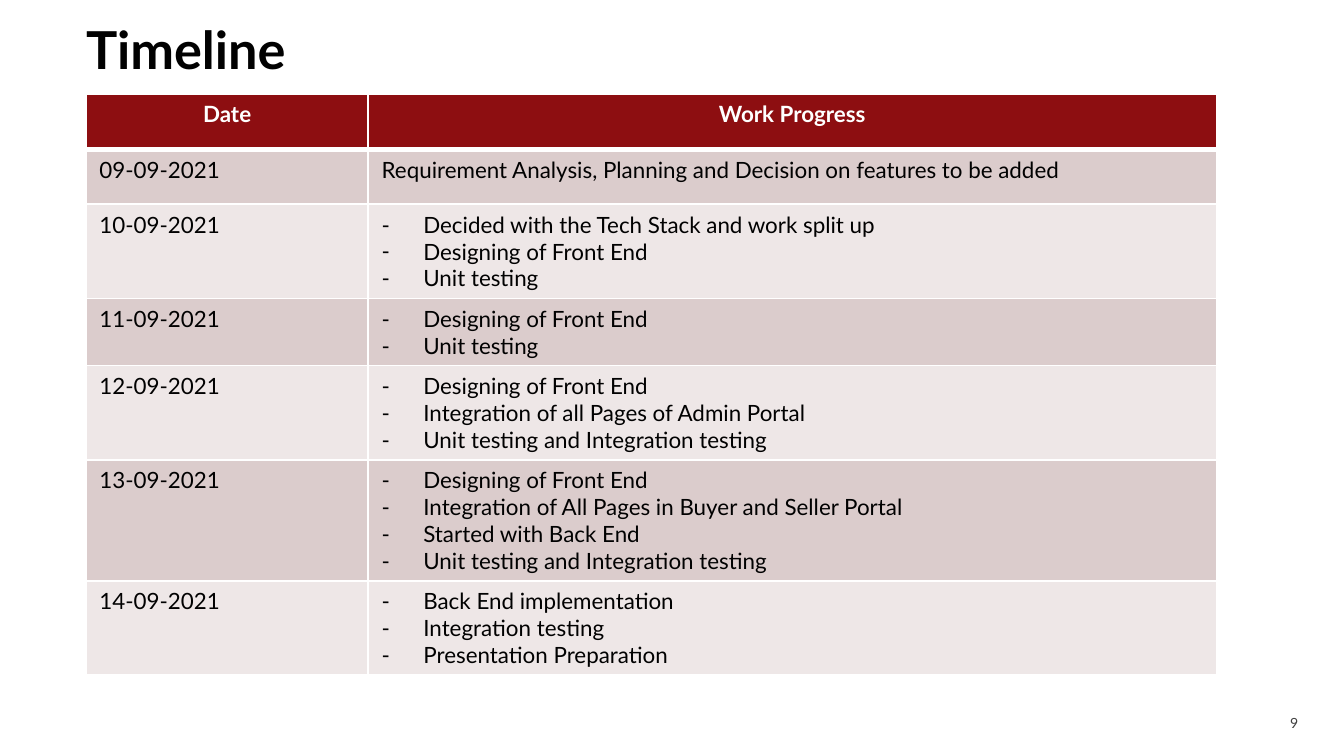
from dataclasses import dataclass

from lxml import etree
from pptx import Presentation
from pptx.dml.color import RGBColor
from pptx.enum import text
from pptx.oxml import ns
from pptx.util import Inches, Pt


@dataclass(frozen=True)
class Theme:
    font: str = "Lato"
    ink: str = "010101"
    header: str = "8D0E11"
    bands: tuple[str, str] = ("DBCCCC", "EEE7E7")
    white: str = "FFFFFF"
    number: str = "404040"
    title_size: float = 28
    table_size: float = 12
    number_size: float = 7.5


@dataclass(frozen=True)
class Day:
    date: str
    tasks: tuple[str, ...]
    bulleted: bool = True

    @property
    def height(self) -> float:
        return max(MIN_ROW, 0.1 + 0.2 * len(self.tasks))


THEME = Theme()
MIN_ROW = 0.41
COLUMN_WIDTHS = (2.1, 6.31)
HEADINGS = ("Date", "Work Progress")
FRONT_END = "Designing of Front End"
UNIT = "Unit testing"
BOTH_TESTS = "Unit testing and Integration testing"
DAYS = (
    Day("09-09-2021",
        ("Requirement Analysis, Planning and Decision on features to be added",), False),
    Day("10-09-2021", ("Decided with the Tech Stack and work split up", FRONT_END, UNIT)),
    Day("11-09-2021", (FRONT_END, UNIT)),
    Day("12-09-2021", (FRONT_END, "Integration of all Pages of Admin Portal", BOTH_TESTS)),
    Day("13-09-2021", (FRONT_END, "Integration of All Pages in Buyer and Seller Portal",
                       "Started with Back End", BOTH_TESTS)),
    Day("14-09-2021", ("Back End implementation", "Integration testing",
                       "Presentation Preparation")),
)


def style_paragraph(paragraph, size: float, color: str, bold: bool = False) -> None:
    for run in paragraph.runs:
        run.font.name = THEME.font
        run.font.size = Pt(size)
        run.font.bold = bold
        run.font.color.rgb = RGBColor.from_string(color)


def add_label(slide, box: tuple[float, ...], content: str, size: float, color: str,
              spacing: float, left_margin: float = 0, bold: bool = False) -> None:
    shape = slide.shapes.add_textbox(*map(Inches, box))
    frame = shape.text_frame
    frame.word_wrap = True
    frame.margin_left = Inches(left_margin)
    frame.margin_top = frame.margin_right = frame.margin_bottom = 0
    frame.text = content
    frame.paragraphs[0].line_spacing = spacing
    style_paragraph(frame.paragraphs[0], size, color, bold)


def add_dash(paragraph) -> None:
    """Give the paragraph a hanging dash bullet."""
    properties = paragraph._p.get_or_add_pPr()
    indent = Inches(0.31)
    properties.set("marL", str(indent))
    properties.set("indent", str(-indent))
    etree.SubElement(properties, ns.qn("a:buFont"), typeface=THEME.font)
    etree.SubElement(properties, ns.qn("a:buChar"), char="-")


def set_borders(cell, top: float, bottom: float) -> None:
    properties = cell._tc.get_or_add_tcPr()
    for side, width in (("L", 1), ("R", 1), ("T", top), ("B", bottom)):
        line = etree.SubElement(properties, ns.qn(f"a:ln{side}"), w=str(Pt(width)))
        fill = etree.SubElement(line, ns.qn("a:solidFill"))
        etree.SubElement(fill, ns.qn("a:srgbClr"), val=THEME.white)


def fill_cell(cell, lines: tuple[str, ...], fill: str, color: str, header: bool = False,
              bulleted: bool = False, top: float = 1, bottom: float = 1) -> None:
    set_borders(cell, top, bottom)
    cell.fill.solid()
    cell.fill.fore_color.rgb = RGBColor.from_string(fill)
    cell.text_frame.text = "\n".join(lines)
    for paragraph in cell.text_frame.paragraphs:
        if header:
            paragraph.alignment = text.PP_ALIGN.CENTER
        if bulleted:
            add_dash(paragraph)
        style_paragraph(paragraph, THEME.table_size, color, header)


def add_timeline(slide) -> None:
    heights = [MIN_ROW] + [day.height for day in DAYS]
    frame = slide.shapes.add_table(
        len(heights), len(COLUMN_WIDTHS), Inches(0.64), Inches(0.7),
        Inches(sum(COLUMN_WIDTHS)), Inches(sum(heights)))
    table = frame.table
    for column, width in zip(table.columns, COLUMN_WIDTHS):
        column.width = Inches(width)
    for row, height in zip(table.rows, heights):
        row.height = Inches(height)
    for index, heading in enumerate(HEADINGS):
        fill_cell(table.cell(0, index), (heading,), THEME.header, THEME.white,
                  header=True, bottom=3)
    for index, day in enumerate(DAYS):
        band = THEME.bands[index % 2]
        top = 3 if index == 0 else 1
        fill_cell(table.cell(index + 1, 0), (day.date,), band, THEME.ink, top=top)
        fill_cell(table.cell(index + 1, 1), day.tasks, band, THEME.ink,
                  bulleted=day.bulleted, top=top)


def main() -> None:
    presentation = Presentation()
    presentation.slide_width = Inches(10)
    presentation.slide_height = Inches(10 * 9 / 16)
    slide = presentation.slides.add_slide(presentation.slide_layouts[6])
    add_label(slide, (9.55, 5.29, 0.28, 0.14), "9", THEME.number_size, THEME.number,
              spacing=1.2, left_margin=0.05)
    add_label(slide, (0.64, 0.18, 8.72, 0.63), "Timeline", THEME.title_size, THEME.ink,
              spacing=0.9, bold=True)
    add_timeline(slide)
    presentation.save("out.pptx")


if __name__ == "__main__":
    main()
